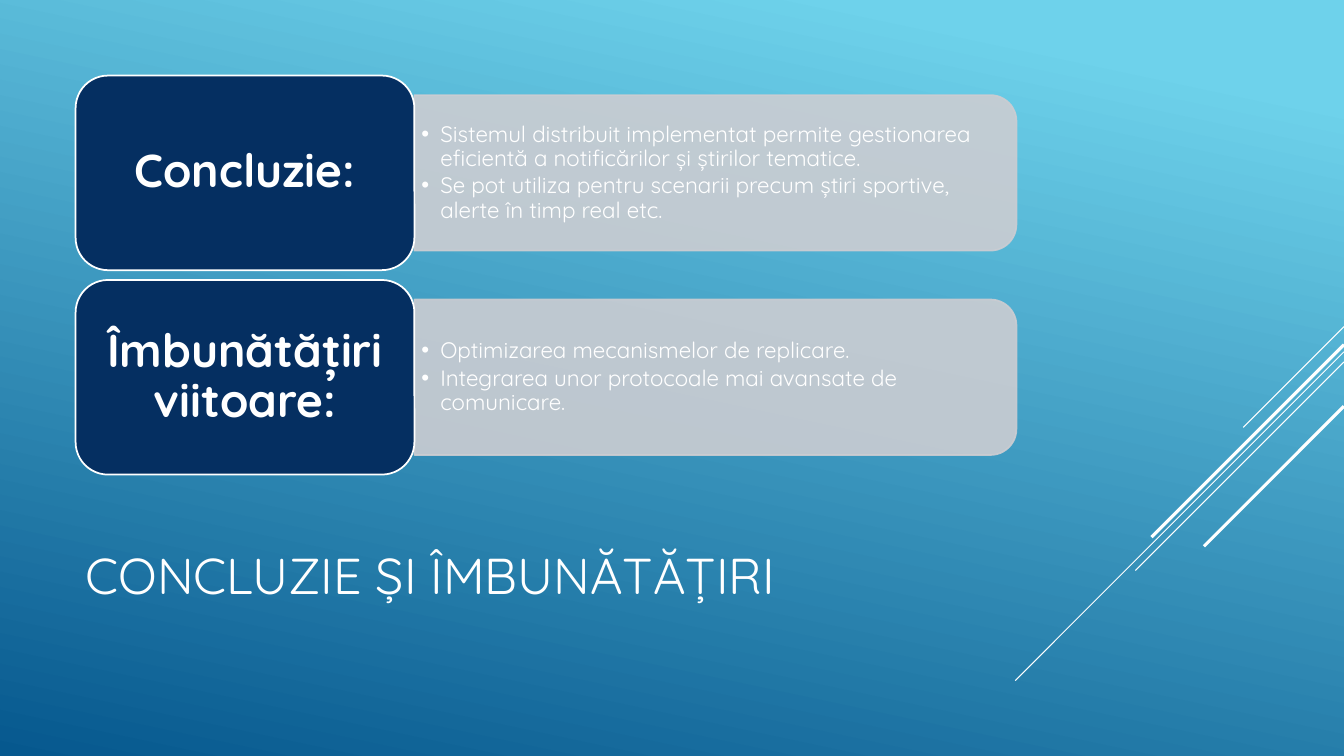
import pptx
import pptx.dml.color
import pptx.enum.dml
import pptx.enum.shapes
import pptx.enum.text
import pptx.oxml.ns
import pptx.util
from lxml import etree

Pt = pptx.util.Pt
SHAPES = pptx.enum.shapes.MSO_SHAPE
ALIGN = pptx.enum.text.PP_ALIGN
FONT = "Quicksand"
WHITE, NAVY, GREY = "FFFFFF", "052F61", "CCCDD2"
SLIDE_WIDTH, SLIDE_HEIGHT = 960, 540
LEFT, ROW_TOP, ROW_PITCH = 54, 54, 146
LABEL_WIDTH, LABEL_HEIGHT = 242, 139
PANEL_WIDTH, PANEL_HEIGHT = 430, 111

ROWS = [
    ("Concluzie:", [
        "Sistemul distribuit implementat permite gestionarea eficientă a notificărilor și știrilor tematice.",
        "Se pot utiliza pentru scenarii precum știri sportive, alerte în timp real etc.",
    ]),
    ("Îmbunătățiri viitoare:", [
        "Optimizarea mecanismelor de replicare.",
        "Integrarea unor protocoale mai avansate de comunicare.",
    ]),
]

# Start height on the right edge, horizontal run, line width
DIAGONALS = [
    (233.3, 72, 0.75),
    (251.3, 234.8, 0.75),
    (258.5, 149, 0.75),
    (246.2, 137.5, 2.25),
    (290.2, 100, 2.25),
]


def rgb(value):
    return pptx.dml.color.RGBColor.from_string(value)


def add_child(parent, tag, **attributes):
    return etree.SubElement(parent, pptx.oxml.ns.qn(tag), **attributes)


def paint_background(slide):
    fill = slide.background.fill
    fill.gradient()
    fill.gradient_angle = 258
    for stop, position, color in zip(fill.gradient_stops, (0.1, 1), ("6ED2EB", "06588E")):
        stop.position = position
        stop.color.rgb = rgb(color)


def add_diagonal(slide, top, run, width):
    """Draw a 45 degree line from the right edge down to the left."""
    line = slide.shapes.add_connector(
        pptx.enum.shapes.MSO_CONNECTOR.STRAIGHT,
        Pt(SLIDE_WIDTH), Pt(top), Pt(SLIDE_WIDTH - run), Pt(top + run))
    line.line.color.rgb = rgb(WHITE)
    line.line.width = Pt(width)
    add_child(line._element.spPr, "a:effectLst")


def add_box(slide, kind, left, top, width, height, fill, line):
    shape = slide.shapes.add_shape(kind, Pt(left), Pt(top), Pt(width), Pt(height))
    shape.shadow.inherit = False
    shape.fill.solid()
    shape.fill.fore_color.rgb = rgb(fill)
    shape.line.color.rgb = rgb(line)
    shape.line.width = Pt(1.25)
    return shape


def add_text_box(slide, left, top, width, height):
    return slide.shapes.add_textbox(Pt(left), Pt(top), Pt(width), Pt(height))


def write_text(shape, texts, size, margins, bold=False, align=ALIGN.LEFT,
               line_spacing=0.9, space_after=0, bullets=False):
    frame = shape.text_frame
    frame.word_wrap = True
    frame.vertical_anchor = pptx.enum.text.MSO_ANCHOR.MIDDLE
    frame.margin_left = frame.margin_right = Pt(margins[0])
    frame.margin_top = frame.margin_bottom = Pt(margins[1])
    for index, text in enumerate(texts):
        paragraph = frame.add_paragraph() if index else frame.paragraphs[0]
        paragraph.alignment = align
        paragraph.line_spacing = line_spacing
        paragraph.space_after = Pt(space_after)
        if bullets:
            add_bullet(paragraph)
        run = paragraph.add_run()
        run.text = text
        run.font.name = FONT
        run.font.size = Pt(size)
        run.font.bold = bold
        run.font.color.rgb = rgb(WHITE)


def add_bullet(paragraph):
    properties = paragraph._p.get_or_add_pPr()
    indent = Pt(13.5)
    properties.set("marL", str(indent))
    properties.set("indent", str(-indent))
    add_child(properties, "a:buFont", typeface="Arial")
    add_child(properties, "a:buChar", char="•")


def add_panel(slide, left, top):
    """Draw a translucent panel rounded on its right side only."""
    panel = add_box(
        slide, SHAPES.ROUND_2_SAME_RECTANGLE,
        left + (PANEL_WIDTH - PANEL_HEIGHT) / 2, top + (PANEL_HEIGHT - PANEL_WIDTH) / 2,
        PANEL_HEIGHT, PANEL_WIDTH, GREY, GREY)
    panel.rotation = 90
    for color in panel._element.spPr.iter(pptx.oxml.ns.qn("a:srgbClr")):
        add_child(color, "a:alpha", val="90000")


def add_row(slide, top, label, points):
    panel_left = LEFT + LABEL_WIDTH
    panel_top = top + (LABEL_HEIGHT - PANEL_HEIGHT) / 2
    add_panel(slide, panel_left, panel_top)
    text_box = add_text_box(slide, panel_left, panel_top + 5.5, PANEL_WIDTH - 5, PANEL_HEIGHT - 11)
    write_text(text_box, points, 16, (5, 2.5), space_after=2.4, bullets=True)
    label_box = add_box(slide, SHAPES.ROUNDED_RECTANGLE, LEFT, top,
                        LABEL_WIDTH, LABEL_HEIGHT, NAVY, WHITE)
    write_text(label_box, [label], 33, (10, 5), bold=True, align=ALIGN.CENTER)


def main():
    presentation = pptx.Presentation()
    presentation.slide_width = Pt(SLIDE_WIDTH)
    presentation.slide_height = Pt(SLIDE_HEIGHT)
    slide = presentation.slides.add_slide(presentation.slide_layouts[6])
    paint_background(slide)
    for top, run, width in DIAGONALS:
        add_diagonal(slide, top, run, width)
    title = add_text_box(slide, LEFT, 353.5, 672, 119)
    write_text(title, ["CONCLUZIE ȘI ÎMBUNĂTĂȚIRI"], 36, (7.2, 3.6))
    for index, (label, points) in enumerate(ROWS):
        add_row(slide, ROW_TOP + index * ROW_PITCH, label, points)
    presentation.save("out.pptx")


if __name__ == "__main__":
    main()
